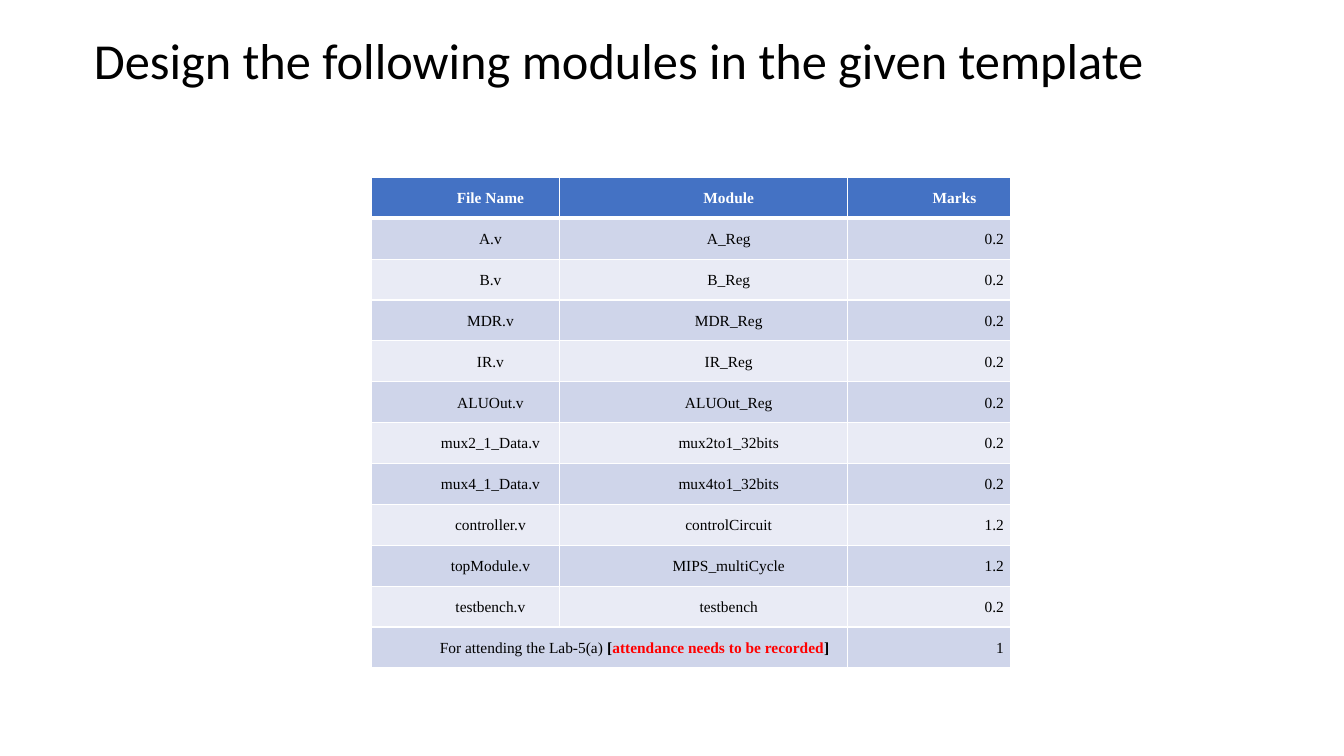
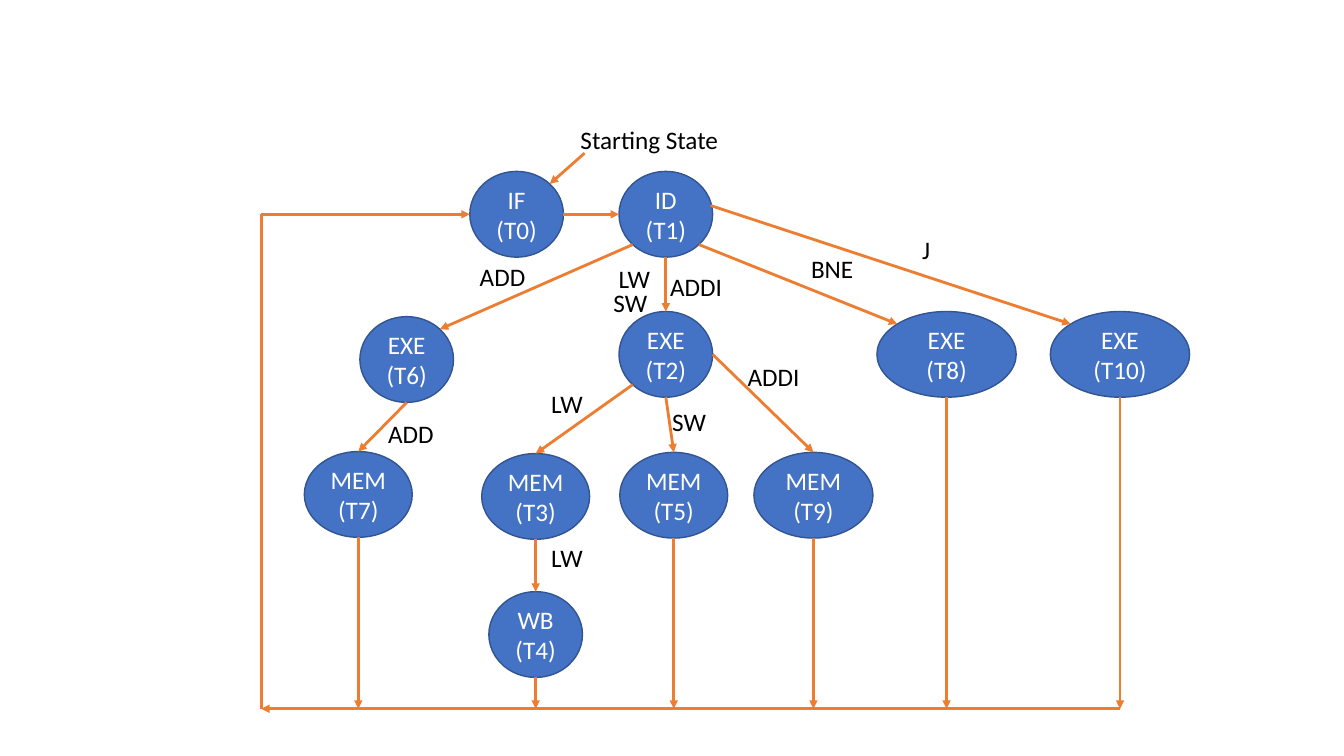
from typing import NamedTuple

from lxml.etree import SubElement
from pptx import Presentation
from pptx.dml.color import RGBColor
from pptx.enum.shapes import MSO_CONNECTOR, MSO_SHAPE
from pptx.enum.text import MSO_ANCHOR as Anchor, MSO_AUTO_SIZE as AutoSize, PP_ALIGN as Align
from pptx.oxml.ns import qn
from pptx.util import Cm, Pt

# Shared look
BLUE = RGBColor(0x44, 0x72, 0xC4)
DARK_BLUE = RGBColor(0x32, 0x54, 0x91)
ORANGE = RGBColor(0xED, 0x7D, 0x31)
RED = RGBColor(0xFF, 0x00, 0x00)
BLACK = RGBColor(0x00, 0x00, 0x00)
WHITE = RGBColor(0xFF, 0xFF, 0xFF)
BANDS = (RGBColor(0xE9, 0xEB, 0xF5), RGBColor(0xCF, 0xD5, 0xEA))
BODY_FONT, TABLE_FONT = "Calibri", "Times New Roman"


class Box(NamedTuple):
    """A region of the slide, in centimetres."""
    left: float
    top: float
    width: float
    height: float

    def lengths(self):
        return [Cm(value) for value in self]

    def inner(self, left, top, width, height):
        return Box(self.left + left, self.top + top, width, height)

    def point(self, x, y):
        return Cm(self.left + x), Cm(self.top + y)


TITLE_BOX = Box(2.11, 0.25, 29.21, 2.67)
TABLE_BOX = Box(9.35, 4.47, 16.13, 12.36)
DIAGRAM_BOX = Box(6.58, 3.02, 23.39, 14.84)

# Module table
COLUMN_WIDTHS = (4.75, 7.26, 4.12)
MODULES = (
    ("File Name", "Module", "Marks"),
    ("A.v", "A_Reg", "0.2"),
    ("B.v", "B_Reg", "0.2"),
    ("MDR.v", "MDR_Reg", "0.2"),
    ("IR.v", "IR_Reg", "0.2"),
    ("ALUOut.v", "ALUOut_Reg", "0.2"),
    ("mux2_1_Data.v", "mux2to1_32bits", "0.2"),
    ("mux4_1_Data.v", "mux4to1_32bits", "0.2"),
    ("controller.v", "controlCircuit", "1.2"),
    ("topModule.v", "MIPS_multiCycle", "1.2"),
    ("testbench.v", "testbench", "0.2"),
)
ATTENDANCE = (
    ("For attending the Lab-5(a) ", BLACK, False),
    ("[", BLACK, True),
    ("attendance needs to be recorded", RED, True),
    ("]", BLACK, True),
)

# State diagram: left, top and width inside the diagram box
STATE_HEIGHT = 2.16
STATES = {
    "T0": ("IF (T0)", 5.26, 1.3, 2.36),
    "T1": ("ID (T1)", 9.02, 1.3, 2.36),
    "T6": ("EXE (T6)", 2.49, 4.96, 2.36),
    "T2": ("EXE (T2)", 9.02, 4.83, 2.36),
    "T8": ("EXE (T8)", 15.52, 4.83, 3.51),
    "T10": ("EXE (T10)", 19.89, 4.83, 3.51),
    "T7": ("MEM (T7)", 1.09, 8.36, 2.72),
    "T3": ("MEM(T3)", 5.56, 8.41, 2.72),
    "T5": ("MEM (T5)", 9.04, 8.38, 2.72),
    "T9": ("MEM (T9)", 12.42, 8.38, 3),
    "T4": ("WB (T4)", 5.74, 11.89, 2.36),
}
LABELS = (
    ("Starting State", 7.8, 0, 4.34),
    ("ADD", 5.26, 3.43, 1.9),
    ("ADDI", 10.06, 3.69, 1.9),
    ("LW", 8.76, 3.48, 1.42),
    ("SW", 8.63, 4.09, 1.42),
    ("BNE", 13.61, 3.25, 1.9),
    ("J", 16.41, 2.77, 0.91),
    ("ADD", 2.95, 7.39, 1.9),
    ("LW", 7.06, 6.63, 1.42),
    ("SW", 10.11, 7.09, 1.42),
    ("ADDI", 12.01, 5.95, 1.9),
    ("LW", 7.06, 10.52, 1.42),
)
# Connection sites of an ellipse, counter-clockwise from the top
TOP, TOP_LEFT, LEFT, BOTTOM_LEFT, BOTTOM, BOTTOM_RIGHT, RIGHT, TOP_RIGHT = range(8)
DIAGONAL = 0.5 ** 0.5
SITES = ((0, -1), (-DIAGONAL, -DIAGONAL), (-1, 0), (-DIAGONAL, DIAGONAL),
         (0, 1), (DIAGONAL, DIAGONAL), (1, 0), (DIAGONAL, -DIAGONAL))
TRANSITIONS = (
    ("T0", RIGHT, "T1", LEFT),
    ("T1", BOTTOM_LEFT, "T6", TOP_RIGHT),
    ("T1", BOTTOM, "T2", TOP),
    ("T1", BOTTOM_RIGHT, "T8", TOP_LEFT),
    ("T2", BOTTOM_LEFT, "T3", TOP),
    ("T2", BOTTOM, "T5", TOP),
    ("T2", RIGHT, "T9", TOP),
    ("T6", BOTTOM, "T7", TOP),
    ("T3", BOTTOM, "T4", TOP),
)
FINAL_STATES = ("T7", "T4", "T5", "T9", "T8", "T10")


def add_span(para, text, size, color, font=BODY_FONT, bold=False):
    span = para.add_run()
    span.text = text
    span.font.name, span.font.size, span.font.bold = font, Pt(size), bold
    span.font.color.rgb = color


def add_title(page, box, text):
    title = page.shapes.title
    title.left, title.top, title.width, title.height = box.lengths()
    title.text_frame.vertical_anchor = Anchor.MIDDLE
    para = title.text_frame.paragraphs[0]
    para.alignment, para.line_spacing = Align.LEFT, 0.9
    add_span(para, text, 36, BLACK)


def format_cell(cell, fill, spans, align, bottom_width=1):
    # White borders
    properties = cell._tc.get_or_add_tcPr()
    for side, width in (("L", 1), ("R", 1), ("T", 1), ("B", bottom_width)):
        border = SubElement(properties, qn(f"a:ln{side}"), w=str(Pt(width)))
        SubElement(SubElement(border, qn("a:solidFill")), qn("a:srgbClr"), val=str(WHITE))
    cell.fill.solid()
    cell.fill.fore_color.rgb = fill
    # Text
    cell.margin_left = cell.margin_right = Cm(0.18)
    cell.margin_top = cell.margin_bottom = 0
    cell.vertical_anchor = Anchor.MIDDLE
    para = cell.text_frame.paragraphs[0]
    para.alignment, para.line_spacing = align, 1.07
    para._p.get_or_add_pPr().set("marL", str(Cm(1.27)))
    for text, color, bold in spans:
        add_span(para, text, 11, color, TABLE_FONT, bold)


def add_module_table(page, box):
    last = len(MODULES)
    table = page.shapes.add_table(last + 1, len(COLUMN_WIDTHS), *box.lengths()).table
    for column, width in zip(table.columns, COLUMN_WIDTHS):
        column.width = Cm(width)
    for row in table.rows:
        row.height = Cm(box.height / (last + 1))
    # Header and modules
    for row, values in enumerate(MODULES):
        header = row == 0
        for column, text in enumerate(values):
            align = Align.RIGHT if column == 2 and not header else Align.CENTER
            format_cell(table.cell(row, column), BLUE if header else BANDS[row % 2],
                        [(text, WHITE if header else BLACK, header)],
                        align, 3 if header else 1)
    # Attendance row
    table.cell(last, 0).merge(table.cell(last, 1))
    format_cell(table.cell(last, 0), BANDS[last % 2], ATTENDANCE, Align.CENTER)
    format_cell(table.cell(last, 2), BANDS[last % 2], [("1", BLACK, False)], Align.RIGHT)


def add_state(page, box, text):
    state = page.shapes.add_shape(MSO_SHAPE.OVAL, *box.lengths())
    state.shadow.inherit = False
    state.fill.solid()
    state.fill.fore_color.rgb = BLUE
    state.line.color.rgb, state.line.width = DARK_BLUE, Pt(1)
    frame = state.text_frame
    frame.word_wrap, frame.vertical_anchor = True, Anchor.MIDDLE
    frame.paragraphs[0].alignment = Align.CENTER
    add_span(frame.paragraphs[0], text, 18, WHITE)
    return state


def add_label(page, box, text):
    label = page.shapes.add_textbox(*box.lengths())
    label.text_frame.word_wrap = True
    label.text_frame.auto_size = AutoSize.SHAPE_TO_FIT_TEXT
    add_span(label.text_frame.paragraphs[0], text, 18, BLACK)


def site_point(state, site):
    across, down = SITES[site]
    return (int(state.left + state.width * (1 + across) / 2),
            int(state.top + state.height * (1 + down) / 2))


def add_line(page, start, end, arrow=True):
    """Each end is a point (x, y) or a glued (state, site)."""
    ends = [(place, site_point(*place) if hasattr(place[0], "width") else place)
            for place in (start, end)]
    line = page.shapes.add_connector(MSO_CONNECTOR.STRAIGHT, *ends[0][1], *ends[1][1])
    line.line.color.rgb, line.line.width = ORANGE, Pt(2)
    if arrow:
        SubElement(line.line._get_or_add_ln(), qn("a:tailEnd"), type="triangle")
    SubElement(line.element.spPr, qn("a:effectLst"))
    # Glue the ends that touch a state
    glue = line.element.find(".//" + qn("p:cNvCxnSpPr"))
    for tag, (place, point) in zip(("a:stCxn", "a:endCxn"), ends):
        if place != point:
            SubElement(glue, qn(tag), id=str(place[0].shape_id), idx=str(place[1]))


def add_state_diagram(page, box):
    states = {name: add_state(page, box.inner(left, top, width, STATE_HEIGHT), text)
              for name, (text, left, top, width) in STATES.items()}
    # Transitions
    for source, source_site, target, target_site in TRANSITIONS:
        add_line(page, (states[source], source_site), (states[target], target_site))
    add_line(page, box.point(8.15, 0.84), (states["T0"], TOP_RIGHT))
    add_line(page, box.point(11.33, 2.16), (states["T10"], TOP_LEFT))
    # Return path to the first state
    corner = box.point(0, box.height)
    for name in FINAL_STATES:
        x, _ = site_point(states[name], BOTTOM)
        add_line(page, (states[name], BOTTOM), (x, corner[1]))
    add_line(page, (x, corner[1]), corner)
    entry = (corner[0], site_point(states["T0"], LEFT)[1])
    add_line(page, corner, entry, arrow=False)
    add_line(page, entry, (states["T0"], LEFT))
    # Instruction labels
    for text, left, top, width in LABELS:
        add_label(page, box.inner(left, top, width, 1.02), text)


def add_module_slide(deck):
    page = deck.slides.add_slide(deck.slide_layouts.get_by_name("Title Only"))
    add_title(page, TITLE_BOX, "Design the following modules in the given template")
    add_module_table(page, TABLE_BOX)


def add_diagram_slide(deck):
    page = deck.slides.add_slide(deck.slide_layouts.get_by_name("Blank"))
    add_state_diagram(page, DIAGRAM_BOX)


deck = Presentation()
deck.slide_width, deck.slide_height = Cm(33.87), Cm(19.05)
add_module_slide(deck)
add_diagram_slide(deck)
deck.save("out.pptx")
